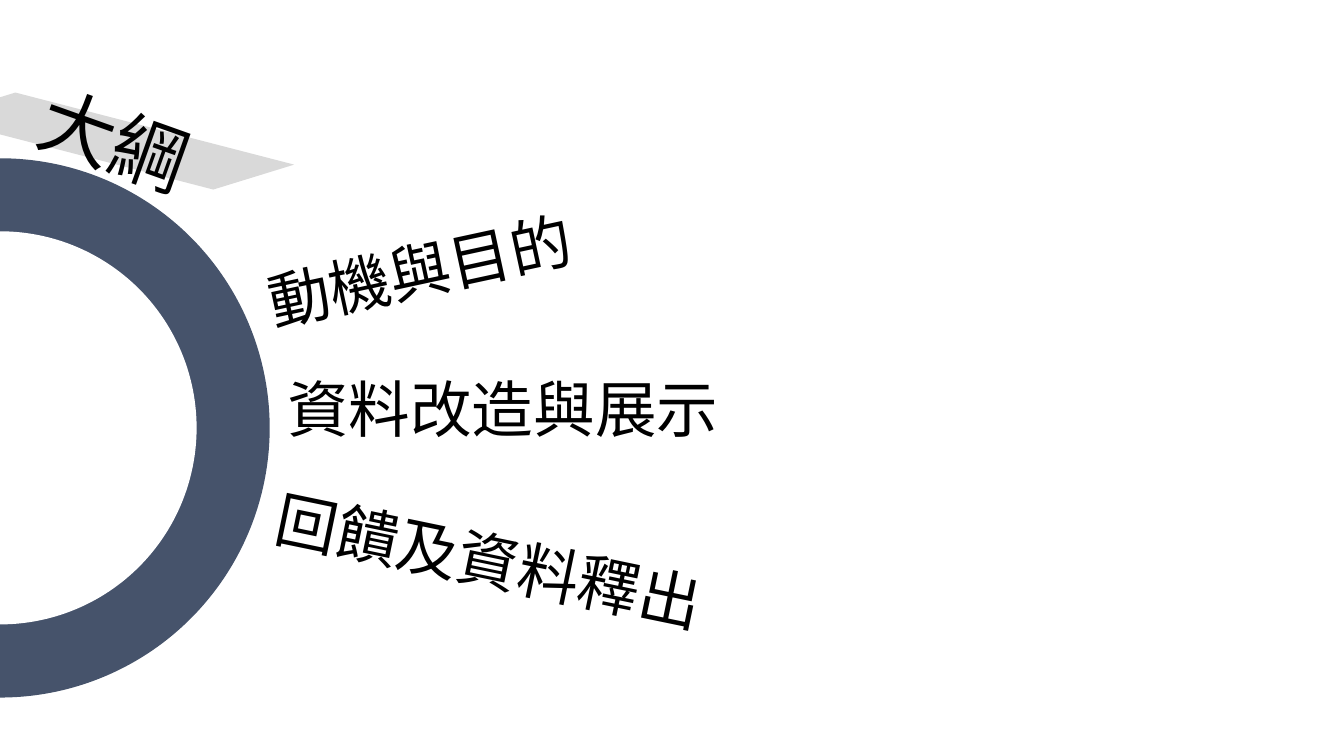
from pptx import Presentation
from pptx.dml.color import RGBColor
from pptx.enum.shapes import MSO_SHAPE
from pptx.enum.text import MSO_ANCHOR, PP_ALIGN
from pptx.oxml.ns import qn
from pptx.util import Inches, Pt
from lxml import etree

BLACK = RGBColor(0x00, 0x00, 0x00)
WHITE = RGBColor(0xFF, 0xFF, 0xFF)
SLATE = RGBColor(0x46, 0x53, 0x6B)
SILVER = RGBColor(0xD9, 0xD9, 0xD9)
FONT = "Noto Sans CJK SC"
WIDTH, HEIGHT = Inches(13.33), Inches(7.5)
LABEL_HEIGHT = 19.33

TITLE = ("大綱", 1.95, 10.13, 14.85, 19.6, 54)
TOPICS = [
    ("動機與目的", 19.05, 26.13, 26.86, 347.8, 44),
    ("資料改造與展示", 20.63, 44.93, 35.78, 0, 44),
    ("回饋及資料釋出", 19.5, 65.6, 36.83, 11.7, 44),
]


def slide_box(left, top, width, height):
    """Turn percentages of the slide's width and height into a box."""
    return (int(WIDTH * left / 100), int(HEIGHT * top / 100),
            int(WIDTH * width / 100), int(HEIGHT * height / 100))


def add_plain_shape(slide, kind, box, color, rotation=0):
    """Add a filled shape without outline or shadow."""
    shape = slide.shapes.add_shape(kind, *box)
    shape.shadow.inherit = False
    shape.fill.solid()
    shape.fill.fore_color.rgb = color
    shape.line.fill.background()
    shape.rotation = rotation


def add_ring(slide, center_x, center_y, diameters):
    """Draw concentric discs that form a ring around the given centre."""
    for diameter, color in zip(diameters, (SLATE, WHITE)):
        box = (center_x - diameter // 2, center_y - diameter // 2, diameter, diameter)
        add_plain_shape(slide, MSO_SHAPE.OVAL, box, color)


def add_label(slide, text, box, rotation, size):
    """Add one line of text turned to follow the ring."""
    shape = slide.shapes.add_textbox(*box)
    shape.rotation = rotation
    frame = shape.text_frame
    frame.word_wrap = True
    frame.vertical_anchor = MSO_ANCHOR.MIDDLE
    paragraph = frame.paragraphs[0]
    paragraph.alignment = PP_ALIGN.LEFT
    paragraph.line_spacing = 0.9
    run = paragraph.add_run()
    run.text = text
    for name, value in {"name": FONT, "size": Pt(size)}.items():
        setattr(run.font, name, value)
    run.font.color.rgb = BLACK
    east_asian = etree.SubElement(run.font._element, qn("a:ea"))
    east_asian.set("typeface", FONT)


def build_outline(slide):
    """Place the title band, the ring and the labels around it."""
    add_plain_shape(slide, MSO_SHAPE.FLOWCHART_DATA,
                    slide_box(-4.88, 15.73, 26.78, 5.87), SILVER, 14.5)
    add_ring(slide, 0, int(HEIGHT * 0.566), (Inches(5.35), Inches(3.9)))
    for text, left, top, width, rotation, size in [TITLE, *TOPICS]:
        box = slide_box(left, top, width, LABEL_HEIGHT)
        add_label(slide, text, box, rotation, size)


def main():
    """Build and save the presentation."""
    presentation = Presentation()
    presentation.slide_width, presentation.slide_height = WIDTH, HEIGHT
    build_outline(presentation.slides.add_slide(presentation.slide_layouts[6]))
    presentation.save("out.pptx")


if __name__ == "__main__":
    main()
